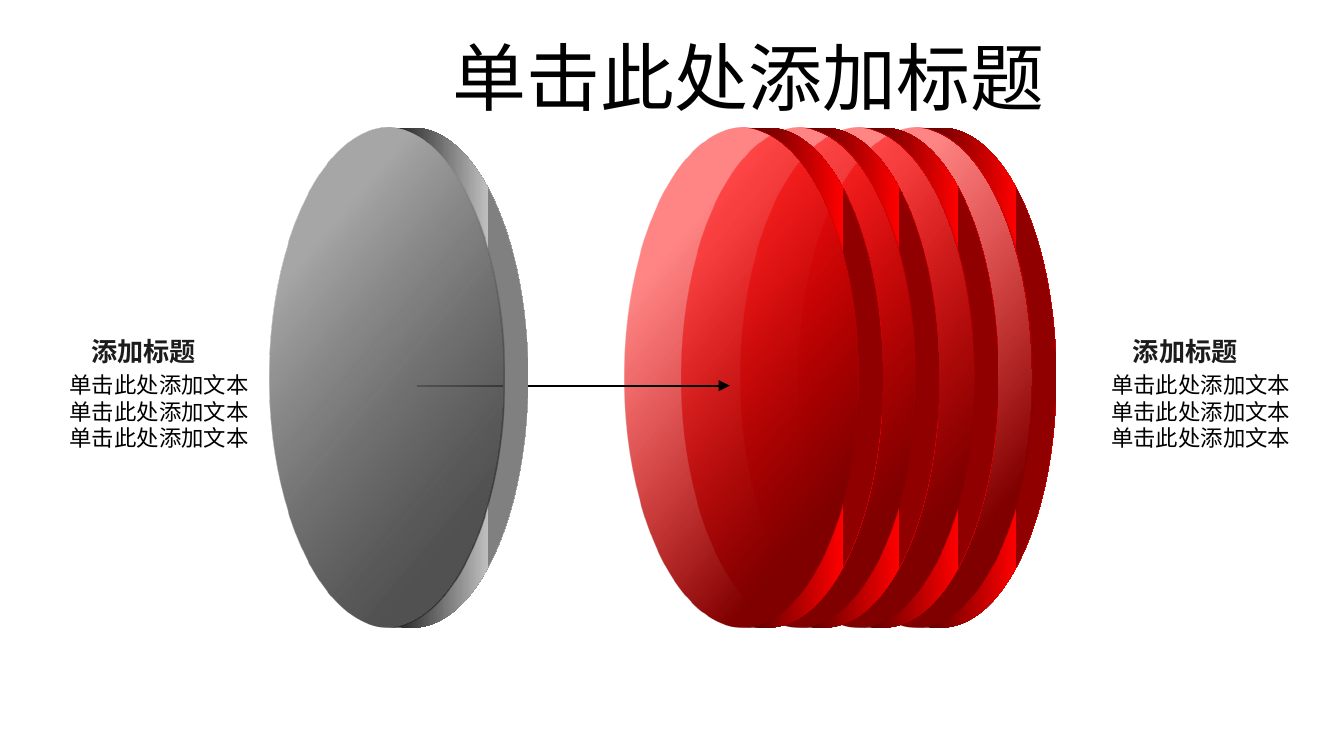
from dataclasses import dataclass

from lxml import etree
from pptx import Presentation
from pptx.dml.color import RGBColor
from pptx.enum import shapes, text
from pptx.oxml import ns, parse_xml
from pptx.util import Inches, Pt


@dataclass(frozen=True)
class Theme:
    black: str = "000000"
    heading_color: str = "1C1C1C"
    title_font: str = "Roboto"
    body_font: str = "Arial"
    title_size: float = 39.6
    heading_size: float = 14
    body_size: float = 12
    # Gradient stops: position %, colour, opacity %
    red_edge: tuple = ((7, "600000", 100), (71, "FF0000", 100), (71, "900000", 100))
    red_face: tuple = ((22, "FF0000", 47), (80, "800000", 100))
    gray_edge: tuple = ((7, "2A2A2A", 100), (71, "BFBFBF", 100), (71, "808080", 100))
    gray_face: tuple = ((22, "A6A6A6", 100), (80, "2A2A2A", 81))


# Disc outlines as Bezier points, measured from the disc's left end at mid-height
RIM = [(0.89, -1.86),
       (0.92, -1.86), (0.94, -1.85), (0.96, -1.85),
       (1.40, -1.75), (1.74, -0.96), (1.74, 0),
       (1.74, 0.96), (1.40, 1.75), (0.96, 1.85),
       (0.94, 1.85), (0.92, 1.86), (0.89, 1.86)]
EDGE = RIM + [(0.89, 1.86), (1.06, 1.86), (1.06, 1.86),
              (1.54, 1.86), (1.92, 1.03), (1.92, 0),
              (1.92, -1.03), (1.54, -1.86), (1.06, -1.86)]
FACE = RIM + [(0.40, 1.86), (0, 1.03), (0, 0),
              (0, -1.03), (0.40, -1.86), (0.89, -1.86)]
EDGE_ANGLE, FACE_ANGLE = 0, 40
DISC_MIDDLE = 2.81


class SlideBuilder:
    def __init__(self, slide, theme):
        self.slide = slide
        self.theme = theme

    def text_box(self, container, box, lines, size, font, color, align,
                 bold=False, anchor=text.MSO_ANCHOR.TOP):
        shape = container.add_textbox(*map(Inches, box))
        frame = shape.text_frame
        frame.word_wrap = True
        frame.vertical_anchor = anchor
        frame.text = "\n".join(lines)
        for paragraph in frame.paragraphs:
            paragraph.alignment = align
            paragraph.font.size = Pt(size)
            paragraph.font.name = font
            paragraph.font.bold = bold
            paragraph.font.color.rgb = RGBColor.from_string(color)

    def gradient(self, shape, stops, angle):
        stop_xml = "".join(
            f'<a:gs pos="{position * 1000}"><a:srgbClr val="{color}">'
            f'<a:alpha val="{opacity * 1000}"/></a:srgbClr></a:gs>'
            for position, color, opacity in stops)
        shape.fill.background()
        properties = shape.element.spPr
        properties.replace(properties.find(ns.qn("a:noFill")), parse_xml(
            f'<a:gradFill {ns.nsdecls("a")} rotWithShape="1"><a:gsLst>{stop_xml}</a:gsLst>'
            f'<a:lin ang="{angle * 60000}" scaled="0"/></a:gradFill>'))

    def curve(self, container, left, points, stops, angle):
        placed = [(Inches(left + x), Inches(DISC_MIDDLE + y)) for x, y in points]
        builder = container.build_freeform(*placed[0])
        builder.add_line_segments(placed[1:], close=True)
        shape = builder.convert_to_shape()
        # Join every three line points into one Bezier segment
        path = shape.element.spPr.find(".//" + ns.qn("a:path"))
        segments = path.findall(ns.qn("a:lnTo"))
        for first in range(0, len(segments), 3):
            bezier = etree.Element(ns.qn("a:cubicBezTo"))
            segments[first].addprevious(bezier)
            for segment in segments[first:first + 3]:
                bezier.append(segment[0])
                path.remove(segment)
        self.gradient(shape, stops, angle)
        shape.line.fill.background()
        shape.shadow.inherit = False

    def disc(self, left, edge, face):
        group = self.slide.shapes.add_group_shape().shapes
        self.curve(group, left, EDGE, edge, EDGE_ANGLE)
        self.curve(group, left, FACE, face, FACE_ANGLE)

    def arrow(self, start, end):
        connector = self.slide.shapes.add_connector(
            shapes.MSO_CONNECTOR.STRAIGHT, *map(Inches, start + end))
        connector.line.width = Pt(1)
        connector.line.color.rgb = RGBColor.from_string(self.theme.black)
        properties = connector.element.spPr
        head = etree.SubElement(properties.find(ns.qn("a:ln")), ns.qn("a:tailEnd"))
        head.set("type", "triangle")
        etree.SubElement(properties, ns.qn("a:effectLst"))

    def title(self, box, line):
        theme = self.theme
        self.text_box(self.slide.shapes, box, [line], theme.title_size, theme.title_font,
                      theme.black, text.PP_ALIGN.CENTER, anchor=text.MSO_ANCHOR.MIDDLE)

    def caption(self, left, heading, lines):
        theme = self.theme
        group = self.slide.shapes.add_group_shape().shapes
        self.text_box(group, (left, 2.71, 1.67, 0.71), lines, theme.body_size,
                      theme.body_font, theme.black, text.PP_ALIGN.RIGHT)
        self.text_box(group, (left, 2.45, 1.58, 0.34), [heading], theme.heading_size,
                      theme.body_font, theme.heading_color, text.PP_ALIGN.CENTER, bold=True)


def main():
    # A 16:9 slide
    presentation = Presentation()
    presentation.slide_width = Inches(10)
    presentation.slide_height = Inches(10 * 9 / 16)
    slide = presentation.slides.add_slide(presentation.slide_layouts[6])
    theme = Theme()
    builder = SlideBuilder(slide, theme)

    # Title
    builder.title((1.22, 0.28, 8.7, 0.57), "单击此处添加标题")

    # Stack of red discs, back to front
    for left in (5.94, 5.51, 5.07, 4.65):
        builder.disc(left, theme.red_edge, theme.red_face)

    # Arrow from the gray disc to the stack
    builder.arrow((3.1, 2.87), (5.43, 2.87))
    builder.disc(2.01, theme.gray_edge, theme.gray_face)

    # Captions at both sides
    for left in (0.28, 8.03):
        builder.caption(left, "添加标题", ["单击此处添加文本"] * 3)

    presentation.save("out.pptx")


if __name__ == "__main__":
    main()
